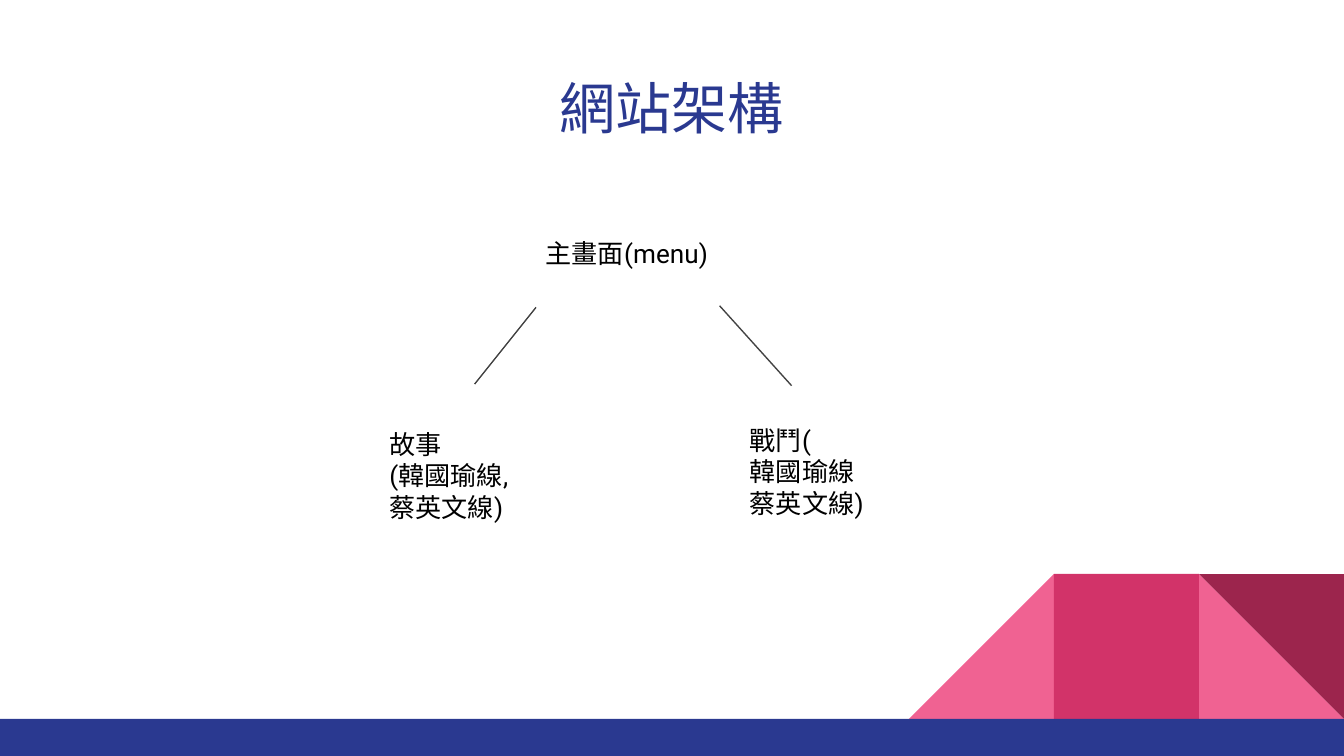
from lxml.etree import SubElement
from pptx import Presentation
from pptx.dml.color import RGBColor
from pptx.enum.shapes import MSO_CONNECTOR, MSO_SHAPE
from pptx.enum.text import MSO_ANCHOR, MSO_AUTO_SIZE, PP_ALIGN
from pptx.oxml.ns import qn
from pptx.util import Cm, Pt

FONT = "Roboto"
NAVY = RGBColor(0x2A, 0x39, 0x90)
PINK = RGBColor(0xF0, 0x62, 0x92)
ROSE = RGBColor(0xD2, 0x33, 0x69)
WINE = RGBColor(0x9C, 0x25, 0x4D)
BLACK = RGBColor(0, 0, 0)
GRAY = RGBColor(0x43, 0x43, 0x43)

SLIDE_WIDTH, SLIDE_HEIGHT = 25.4, 14.29
BAR_HEIGHT = 0.7
TILE = 2.74


def place(shape, box):
    shape.left, shape.top, shape.width, shape.height = map(Cm, box)


def write_text(shape, lines, size=14, color=BLACK, align=PP_ALIGN.LEFT):
    frame = shape.text_frame
    frame.word_wrap = True
    frame.auto_size = MSO_AUTO_SIZE.NONE
    frame.vertical_anchor = MSO_ANCHOR.TOP
    frame.margin_left = frame.margin_right = Cm(0.25)
    frame.margin_top = frame.margin_bottom = Cm(0.25)
    frame.text = "\n".join(lines)
    for paragraph in frame.paragraphs:
        paragraph.alignment = align
        paragraph.space_before = Pt(0)
        for run in paragraph.runs:
            run.font.name = FONT
            run.font.size = Pt(size)
            run.font.color.rgb = color
            east_asian = SubElement(run.font._element, qn("a:ea"))
            east_asian.set("typeface", FONT)


def add_block(slide, kind, box, color, rotation=0):
    shape = slide.shapes.add_shape(kind, *map(Cm, box))
    shape.shadow.inherit = False
    shape.fill.solid()
    shape.fill.fore_color.rgb = color
    shape.line.fill.background()
    shape.rotation = rotation


def add_footer(slide, box):
    left, top, width, height = box
    bar_top = top + height - BAR_HEIGHT
    tiles = [
        (MSO_SHAPE.RIGHT_TRIANGLE, 1, PINK, 0),
        (MSO_SHAPE.RIGHT_TRIANGLE, 3, PINK, 270),
        (MSO_SHAPE.RECTANGLE, 2, ROSE, 0),
        (MSO_SHAPE.RIGHT_TRIANGLE, 1, WINE, 180),
    ]
    for kind, steps, color, rotation in tiles:
        tile_box = (left + width - steps * TILE, bar_top - TILE, TILE, TILE)
        add_block(slide, kind, tile_box, color, rotation)
    bar_box = (left, bar_top, width, BAR_HEIGHT)
    add_block(slide, MSO_SHAPE.RECTANGLE, bar_box, NAVY)


def add_title(slide, box):
    title = slide.shapes.title
    place(title, box)
    write_text(title, ["網站架構"], size=30, color=NAVY, align=PP_ALIGN.CENTER)


def add_branch(slide, start, end):
    branch = slide.shapes.add_connector(
        MSO_CONNECTOR.STRAIGHT, *map(Cm, start + end))
    branch.line.color.rgb = GRAY
    branch.line.width = Pt(0.75)
    SubElement(branch._element.spPr, qn("a:effectLst"))


def add_site_tree(slide, box):
    left, top, width, height = box
    nodes = [
        ((2.95, 0, 5.21, 1.45), ["主畫面(menu)"]),
        ((0, 3.61, 2.84, 1.68), ["故事", "(韓國瑜線,蔡英文線)"]),
        ((width - 3.73, 3.53, 3.73, 1.96), ["戰鬥(", "韓國瑜線", "蔡英文線)"]),
    ]
    for (x, y, node_width, node_height), lines in nodes:
        node = slide.shapes.add_textbox(0, 0, 0, 0)
        place(node, (left + x, top + y, node_width, node_height))
        write_text(node, lines)
    add_branch(slide, (left + 3.02, top + 1.57), (left + 1.86, top + 3.02))
    add_branch(slide, (left + 6.49, top + 1.54), (left + 7.85, top + 3.05))


def main():
    presentation = Presentation()
    presentation.slide_width = Cm(SLIDE_WIDTH)
    presentation.slide_height = Cm(SLIDE_HEIGHT)
    slide = presentation.slides.add_slide(presentation.slide_layouts[5])
    add_footer(slide, (0, 0, SLIDE_WIDTH, SLIDE_HEIGHT))
    add_title(slide, (0.86, 1.14, 23.67, 1.68))
    add_site_tree(slide, (7.11, 4.24, 10.54, 5.49))
    presentation.save("out.pptx")


if __name__ == "__main__":
    main()
